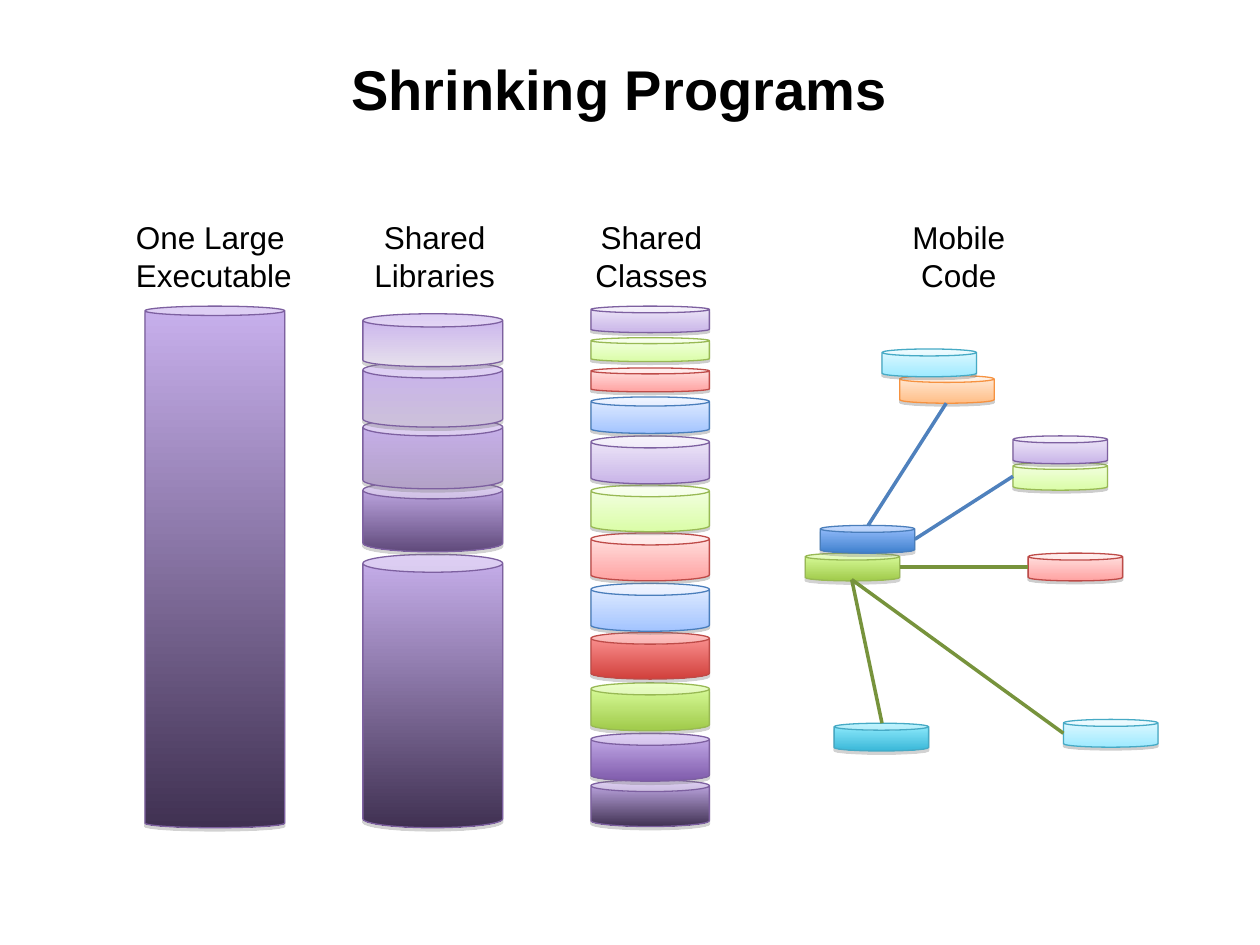
from lxml import etree
from pptx import Presentation, util as u
from pptx.dml.color import RGBColor
from pptx.enum import shapes, text
from pptx.oxml.ns import qn

Inches = u.Inches

# Cylinder styles: gradient top, gradient bottom, outline
CANS = {
    "violet_dark": ("C8B0ED", "403152", "7D60A0"),
    "violet_deep": ("C8B0ED", "604A7B", "7D60A0"),
    "violet_mid": ("C8B0ED", "B3A2C7", "7D60A0"),
    "violet_soft": ("C8B0ED", "CCC1DA", "7D60A0"),
    "violet_light": ("C8B0ED", "E6E0EC", "7D60A0"),
    "violet": ("C8B0ED", "7F5BAB", "7D60A0"),
    "green": ("DCFFA0", "A0CA4A", "98B954"),
    "red": ("FF9A99", "D1403C", "BE4B48"),
    "blue": ("9BC1FF", "3F80CD", "4A7EBB"),
    "aqua": ("95EEFF", "39B7D8", "46AAC5"),
    "pale_violet": ("F0EAF9", "C9B5E8", "7D60A0"),
    "pale_green": ("F5FFE6", "DAFDA7", "98B954"),
    "pale_red": ("FFE5E5", "FFA2A1", "BE4B48"),
    "pale_blue": ("E5EEFF", "A3C4FF", "4A7EBB"),
    "pale_aqua": ("E4F9FF", "9EEAFF", "46AAC5"),
    "pale_orange": ("FFEBDB", "FFBE86", "F69240"),
}
COLORS = {"text": "000000", "shadow": "808080",
          "blue_link": "4F81BD", "green_link": "77933C"}

prs = Presentation()
prs.slide_width, prs.slide_height = Inches(10), Inches(7.5)
s = prs.slides.add_slide(prs.slide_layouts[6])


def add_can(style, x, y, w, h, adj=0.25):
    top, bottom, outline = CANS[style]
    sp = s.shapes.add_shape(shapes.MSO_SHAPE.CAN, Inches(x), Inches(y), Inches(w), Inches(h))
    sp.adjustments[0] = adj
    sp.fill.gradient()
    sp.fill.gradient_angle = 270
    for stop, color, pos in zip(sp.fill.gradient_stops, (top, bottom), (0, 1)):
        stop.color.rgb = RGBColor.from_string(color)
        stop.position = pos
    sp.line.color.rgb = RGBColor.from_string(outline)
    sp.line.width = u.Pt(0.75)
    # Drop shadow straight below, slightly closer for pale cylinders
    alpha, dist = (38, 1.6) if style.startswith("pale") else (35, 1.8)
    sp.shadow.inherit = False
    effects = sp._element.spPr.find(qn("a:effectLst"))
    shadow = etree.SubElement(effects, qn("a:outerShdw"), blurRad="0", dist=str(u.Pt(dist)),
                              dir="5400000", rotWithShape="0")
    clr = etree.SubElement(shadow, qn("a:srgbClr"), val=COLORS["shadow"])
    etree.SubElement(clr, qn("a:alpha"), val=str(alpha * 1000))


def add_label(lines, x, y, w, h, size, align, bold=False):
    tf = s.shapes.add_textbox(Inches(x), Inches(y), Inches(w), Inches(h)).text_frame
    tf.word_wrap = False
    tf.auto_size = text.MSO_AUTO_SIZE.SHAPE_TO_FIT_TEXT
    tf.text = lines
    for p in tf.paragraphs:
        p.alignment = align
        for r in p.runs:
            r.font.name, r.font.size, r.font.bold = "Arial", u.Pt(size), bold
            r.font.color.rgb = RGBColor.from_string(COLORS["text"])


# One large executable
add_can("violet_dark", 1.15, 2.43, 1.11, 4.14, 0.067)

# Shared libraries, bottom to top
for style, y, h, adj in [
    ("violet_dark", 4.4, 2.17, 0.128),
    ("violet_deep", 3.82, 0.56, 0.25),
    ("violet_mid", 3.32, 0.56, 0.25),
    ("violet_soft", 2.87, 0.52, 0.25),
    ("violet_light", 2.49, 0.42, 0.25),
]:
    add_can(style, 2.88, y, 1.11, h, adj)

# Shared classes, bottom to top
for style, y, h in [
    ("violet_dark", 6.19, 0.37),
    ("violet", 5.82, 0.38),
    ("green", 5.42, 0.38),
    ("red", 5.02, 0.37),
    ("pale_blue", 4.63, 0.38),
    ("pale_red", 4.23, 0.38),
    ("pale_green", 3.85, 0.37),
    ("pale_violet", 3.46, 0.38),
    ("pale_blue", 3.15, 0.29),
    ("pale_red", 2.92, 0.19),
    ("pale_green", 2.68, 0.19),
    ("pale_violet", 2.43, 0.21),
]:
    add_can(style, 4.69, y, 0.94, h)

# Mobile code
for style, x, y in [
    ("green", 6.39, 4.39),
    ("blue", 6.51, 4.17),
    ("pale_orange", 7.14, 2.98),
    ("pale_aqua", 7, 2.77),
    ("pale_green", 8.04, 3.67),
    ("pale_violet", 8.04, 3.46),
    ("aqua", 6.62, 5.74),
    ("pale_aqua", 8.44, 5.71),
    ("pale_red", 8.16, 4.39),
]:
    add_can(style, x, y, 0.75, 0.22)

# Links between the mobile pieces
for color, x1, y1, x2, y2 in [
    ("blue_link", 6.89, 4.17, 7.51, 3.2),
    ("blue_link", 7.26, 4.28, 8.04, 3.78),
    ("green_link", 7.14, 4.5, 8.16, 4.5),
    ("green_link", 6.76, 4.6, 7, 5.74),
    ("green_link", 6.76, 4.6, 8.44, 5.82),
]:
    link = s.shapes.add_connector(shapes.MSO_CONNECTOR.STRAIGHT,
                                  Inches(x1), Inches(y1), Inches(x2), Inches(y2))
    link.line.color.rgb = RGBColor.from_string(COLORS[color])
    link.line.width = u.Pt(2)
    etree.SubElement(link._element.spPr, qn("a:effectLst"))

# Column headings
LEFT, CENTER = text.PP_ALIGN.LEFT, text.PP_ALIGN.CENTER
for lines, x, w, align in [
    ("One Large\nExecutable", 0.98, 1.45, LEFT),
    ("Shared\nLibraries", 2.87, 1.16, CENTER),
    ("Shared\nClasses", 4.62, 1.1, CENTER),
    ("Mobile\nCode", 7.11, 1, CENTER),
]:
    add_label(lines, x, 1.68, w, 0.7, 18, align)

# Title
add_label("Shrinking Programs", 2.69, 0.38, 4.45, 0.64, 32, LEFT, bold=True)

prs.save("out.pptx")
